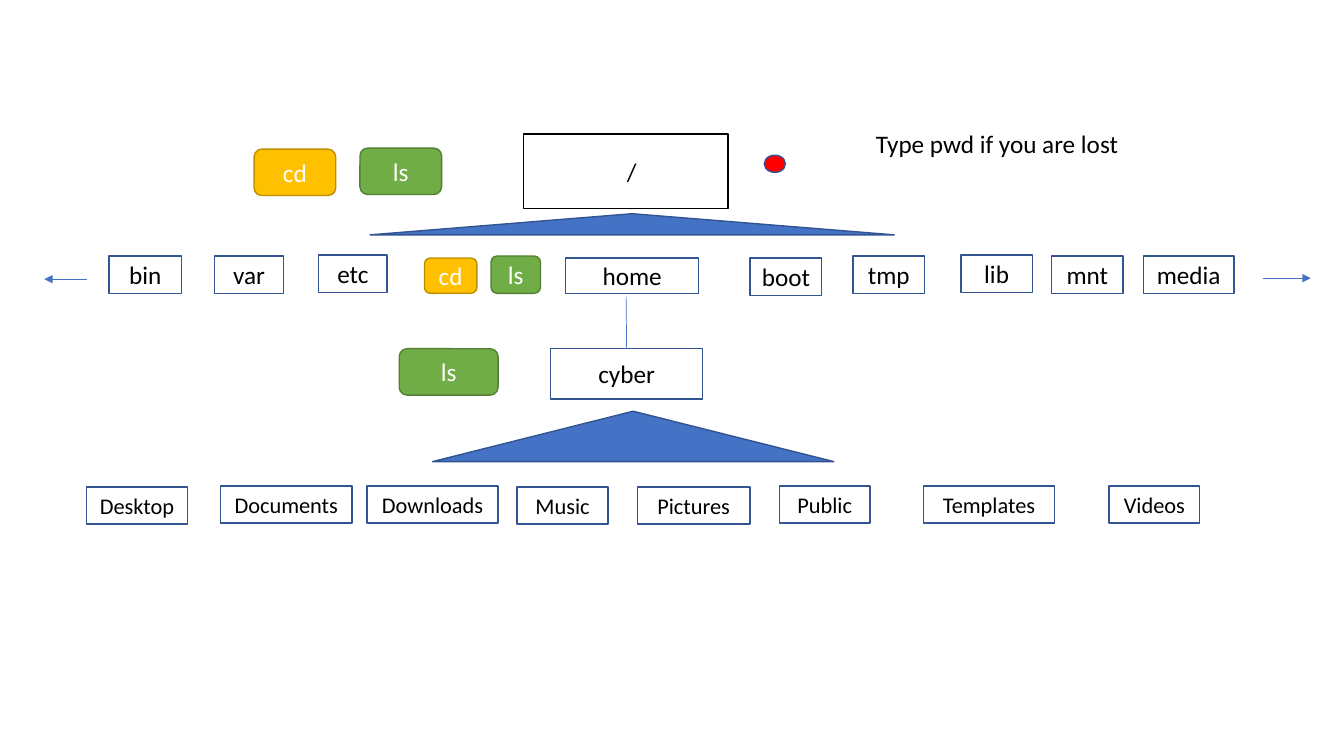
from dataclasses import dataclass

import pptx
import pptx.dml.color
import pptx.enum.shapes
import pptx.enum.text
import pptx.oxml
import pptx.oxml.ns
import pptx.util
from pptx.util import Inches

Shapes = pptx.enum.shapes.MSO_SHAPE


@dataclass(frozen=True)
class Theme:
    font: str = "Calibri"
    body_size: int = 18
    small_size: int = 16
    outline_width: float = 1
    connector_width: float = 0.5
    white: str = "FFFFFF"
    black: str = "000000"
    blue: str = "4472C4"
    dark_blue: str = "325491"
    green: str = "70AD47"
    dark_green: str = "538035"
    amber: str = "FFC000"
    dark_amber: str = "BD8E00"
    red: str = "FF0000"


THEME = Theme()


@dataclass(frozen=True)
class Style:
    kind: Shapes
    fill: str
    outline: str
    text_color: str = THEME.black
    text_size: int = THEME.body_size


ROOT = Style(Shapes.RECTANGLE, THEME.white, THEME.black)
FOLDER = Style(Shapes.RECTANGLE, THEME.white, THEME.dark_blue)
SMALL_FOLDER = Style(Shapes.RECTANGLE, THEME.white, THEME.dark_blue,
                     text_size=THEME.small_size)
LS = Style(Shapes.ROUNDED_RECTANGLE, THEME.green, THEME.dark_green, THEME.white)
CD = Style(Shapes.ROUNDED_RECTANGLE, THEME.amber, THEME.dark_amber, THEME.white)
FAN = Style(Shapes.ISOSCELES_TRIANGLE, THEME.blue, THEME.dark_blue)
MARKER = Style(Shapes.OVAL, THEME.red, THEME.dark_blue)


@dataclass(frozen=True)
class Node:
    style: Style
    left: float
    top: float
    width: float
    height: float = 0.37
    text: str = ""


HOME = Node(FOLDER, 5.61, 2.56, 1.32, 0.35, "home")
CYBER = Node(FOLDER, 5.46, 3.46, 1.51, 0.5, "cyber")
ROOT_FOLDER = Node(ROOT, 5.19, 1.33, 2.03, 0.74, "/")

ROOT_CHILDREN = [
    Node(FOLDER, left, top, width, text=name)
    for name, left, top, width in (
        ("bin", 1.08, 2.54, 0.72),
        ("var", 2.13, 2.54, 0.68),
        ("etc", 3.16, 2.53, 0.68),
        ("boot", 7.44, 2.56, 0.71),
        ("tmp", 8.46, 2.54, 0.71),
        ("lib", 9.53, 2.53, 0.71),
        ("mnt", 10.43, 2.54, 0.71),
        ("media", 11.34, 2.54, 0.9),
    )
]

CYBER_CHILDREN = [
    Node(SMALL_FOLDER, left, top, width, text=name)
    for name, left, top, width in (
        ("Desktop", 0.86, 4.83, 1),
        ("Documents", 2.19, 4.82, 1.3),
        ("Downloads", 3.64, 4.82, 1.3),
        ("Music", 5.13, 4.83, 0.9),
        ("Pictures", 6.32, 4.83, 1.12),
        ("Public", 7.73, 4.82, 0.9),
        ("Templates", 9.16, 4.82, 1.3),
        ("Videos", 11, 4.82, 0.9),
    )
]

COMMANDS = [
    Node(CD, 2.52, 1.48, 0.81, 0.46, "cd"),
    Node(LS, 3.57, 1.47, 0.81, 0.46, "ls"),
    Node(CD, 4.21, 2.56, 0.52, 0.35, "cd"),
    Node(LS, 4.87, 2.54, 0.49, 0.37, "ls"),
    Node(LS, 3.96, 3.46, 0.98, 0.46, "ls"),
]

DECORATIONS = [
    Node(FAN, 3.67, 2.12, 5.2, 0.21),
    Node(FAN, 4.29, 4.08, 3.98, 0.5),
    Node(MARKER, 7.58, 1.54, 0.21, 0.17),
]


def rgb(color: str) -> pptx.dml.color.RGBColor:
    return pptx.dml.color.RGBColor.from_string(color)


def add_run(paragraph, text: str, size: int, color: str) -> None:
    run = paragraph.add_run()
    run.text = text
    run.font.name = THEME.font
    run.font.size = pptx.util.Pt(size)
    run.font.color.rgb = rgb(color)


def add_node(slide, node: Node):
    style = node.style
    shape = slide.shapes.add_shape(
        style.kind, Inches(node.left), Inches(node.top),
        Inches(node.width), Inches(node.height))
    shape.shadow.inherit = False
    shape.fill.solid()
    shape.fill.fore_color.rgb = rgb(style.fill)
    shape.line.color.rgb = rgb(style.outline)
    shape.line.width = pptx.util.Pt(THEME.outline_width)
    if node.text:
        frame = shape.text_frame
        frame.word_wrap = True
        frame.vertical_anchor = pptx.enum.text.MSO_ANCHOR.MIDDLE
        paragraph = frame.paragraphs[0]
        paragraph.alignment = pptx.enum.text.PP_ALIGN.CENTER
        add_run(paragraph, node.text, style.text_size, style.text_color)
    return shape


def add_line(slide, start: tuple[float, float], end: tuple[float, float],
             arrow: bool = False):
    connector = slide.shapes.add_connector(
        pptx.enum.shapes.MSO_CONNECTOR.STRAIGHT,
        *(Inches(value) for value in start + end))
    connector.line.color.rgb = rgb(THEME.blue)
    connector.line.width = pptx.util.Pt(THEME.connector_width)
    properties = connector._element.spPr
    if arrow:
        line = properties.find(pptx.oxml.ns.qn("a:ln"))
        line.append(pptx.oxml.parse_xml(
            f'<a:tailEnd {pptx.oxml.ns.nsdecls("a")} type="triangle"/>'))
    properties.append(pptx.oxml.parse_xml(
        f'<a:effectLst {pptx.oxml.ns.nsdecls("a")}/>'))
    return connector


def add_hint(slide, text: str) -> None:
    box = slide.shapes.add_textbox(
        Inches(8.59), Inches(1.22), Inches(2.63), Inches(0.4))
    frame = box.text_frame
    frame.word_wrap = False
    frame.auto_size = pptx.enum.text.MSO_AUTO_SIZE.SHAPE_TO_FIT_TEXT
    add_run(frame.paragraphs[0], text, THEME.body_size, THEME.black)


def main() -> None:
    presentation = pptx.Presentation()
    presentation.slide_width = Inches(13.33)
    presentation.slide_height = Inches(7.5)
    slide = presentation.slides.add_slide(presentation.slide_layouts[6])

    root = add_node(slide, ROOT_FOLDER)
    root.text_frame.margin_left = Inches(0.22)  # sets the slash right of centre
    cyber = add_node(slide, CYBER)
    for node in [HOME, *ROOT_CHILDREN, *CYBER_CHILDREN, *COMMANDS, *DECORATIONS]:
        add_node(slide, node)

    branch = add_line(slide, (6.21, 2.94), (6.21, 3.46))
    branch.end_connect(cyber, 0)
    add_line(slide, (0.86, 2.77), (0.44, 2.77), arrow=True)
    add_line(slide, (12.53, 2.76), (13, 2.76), arrow=True)
    add_hint(slide, "Type pwd if you are lost")
    presentation.save("out.pptx")


if __name__ == "__main__":
    main()
